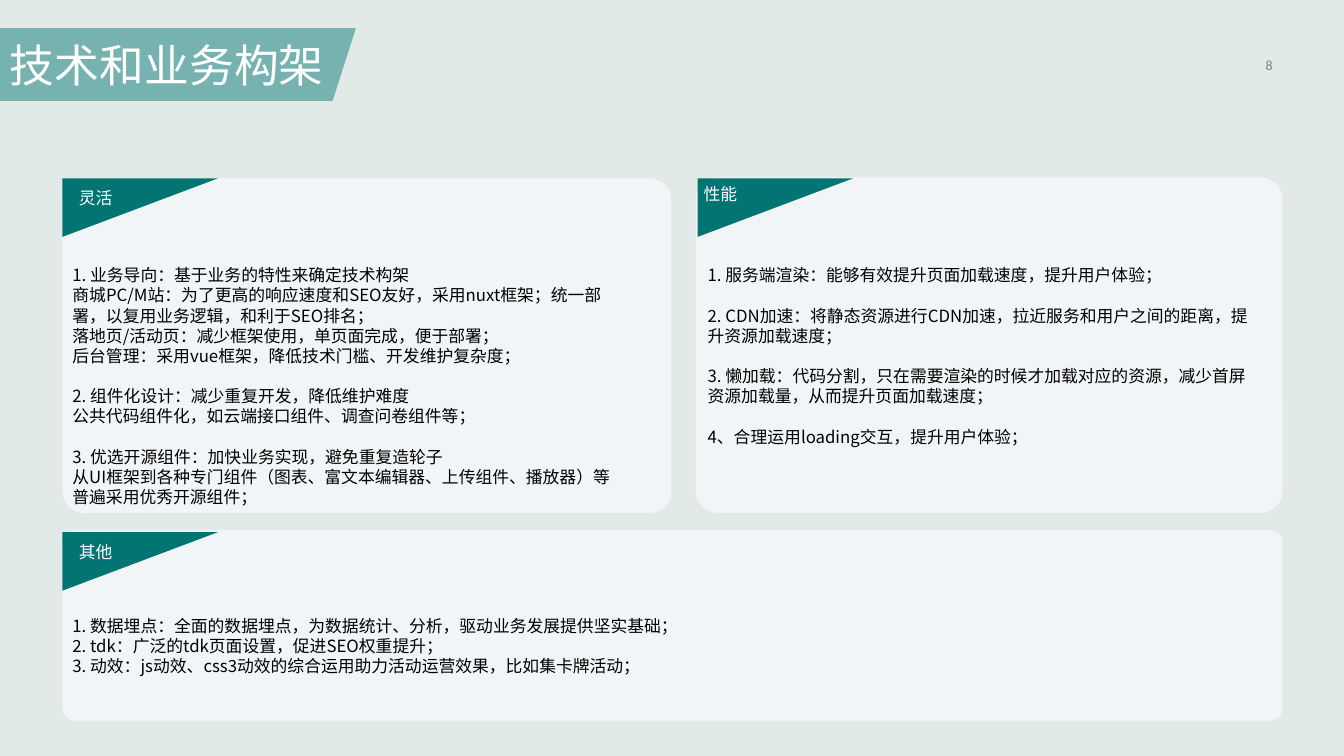
from dataclasses import dataclass

from lxml import etree
from pptx import Presentation
from pptx.dml.color import RGBColor
from pptx.enum.shapes import MSO_SHAPE as Preset
from pptx.enum.text import MSO_ANCHOR as Anchor, PP_ALIGN as Align
from pptx.oxml.ns import qn
from pptx.util import Inches, Pt

MINT = RGBColor(0xE1, 0xEA, 0xE7)
TEAL = RGBColor(0x02, 0x75, 0x72)
PANEL = RGBColor(0xF2, 0xF5, 0xF7)
GREY = RGBColor(0x80, 0x80, 0x80)
BLACK = RGBColor(0, 0, 0)
WHITE = RGBColor(0xFF, 0xFF, 0xFF)

CJK, LATIN = "Noto Sans CJK SC", "Calibri"
LINE = Pt(14.4)
BODY_FORMAT = {"name": CJK, "size": Pt(12)}
LABEL_FORMAT = {"name": LATIN, "size": Pt(12)}
PAGE_FORMAT = {"name": LATIN, "size": Pt(10)}
TITLE_FORMAT = {"name": CJK, "size": Pt(32)}


@dataclass(frozen=True)
class Box:
    left: float
    top: float
    width: float
    height: float

    def lengths(self) -> list:
        return [Inches(v) for v in (self.left, self.top, self.width, self.height)]


@dataclass(frozen=True)
class Section:
    card: Box
    corner: Box
    label: str
    label_box: Box
    label_align: Align
    body_box: Box
    groups: list  # groups of paragraphs, one empty line apart


SECTIONS = [
    Section(
        Box(0.62, 1.77, 6.04, 3.32), Box(0.62, 1.77, 1.54, 0.58),
        "灵活", Box(0.61, 1.81, 0.68, 0.3), Align.CENTER,
        Box(0.62, 2.58, 5.59, 2.52),
        [["1. 业务导向：基于业务的特性来确定技术构架",
          "商城PC/M站：为了更高的响应速度和SEO友好，采用nuxt框架；统一部署，以复用业务逻辑，和利于SEO排名；",
          "落地页/活动页：减少框架使用，单页面完成，便于部署；",
          "后台管理：采用vue框架，降低技术门槛、开发维护复杂度；"],
         ["2. 组件化设计：减少重复开发，降低维护难度",
          "公共代码组件化，如云端接口组件、调查问卷组件等；"],
         ["3. 优选开源组件：加快业务实现，避免重复造轮子",
          "从UI框架到各种专门组件（图表、富文本编辑器、上传组件、播放器）等普遍采用优秀开源组件；"]],
    ),
    Section(
        Box(6.9, 1.76, 5.82, 3.33), Box(6.92, 1.77, 1.54, 0.58),
        "性能", Box(6.88, 1.77, 1.26, 0.3), Align.LEFT,
        Box(6.92, 2.58, 5.61, 1.92),
        [["1. 服务端渲染：能够有效提升页面加载速度，提升用户体验；"],
         ["2. CDN加速：将静态资源进行CDN加速，拉近服务和用户之间的距离，提升资源加载速度；"],
         ["3. 懒加载：代码分割，只在需要渲染的时候才加载对应的资源，减少首屏资源加载量，从而提升页面加载速度；"],
         ["4、合理运用loading交互，提升用户体验；"]],
    ),
    Section(
        Box(0.62, 5.26, 12.1, 1.89), Box(0.62, 5.28, 1.54, 0.58),
        "其他", Box(0.61, 5.33, 0.68, 0.3), Align.CENTER,
        Box(0.62, 6.06, 11.61, 0.71),
        [["1. 数据埋点：全面的数据埋点，为数据统计、分析，驱动业务发展提供坚实基础；",
          "2. tdk：广泛的tdk页面设置，促进SEO权重提升；",
          "3. 动效：js动效、css3动效的综合运用助力活动运营效果，比如集卡牌活动；"]],
    ),
]


def paint(shape, color: RGBColor) -> None:
    shape.shadow.inherit = False
    shape.fill.solid()
    shape.fill.fore_color.rgb = color
    shape.line.fill.background()


def write(paragraph, text: str, formats: dict, color: RGBColor, align=Align.LEFT) -> None:
    paragraph.alignment = align
    run = paragraph.add_run()
    run.text = text
    for attribute, value in formats.items():
        setattr(run.font, attribute, value)
    run.font.color.rgb = color


def add_frame(slide, box: Box, anchor=Anchor.TOP):
    frame = slide.shapes.add_textbox(*box.lengths()).text_frame
    frame.word_wrap = True
    frame.vertical_anchor = anchor
    return frame


def draw_body(slide, section: Section) -> None:
    frame = add_frame(slide, section.body_box)
    paragraph = frame.paragraphs[0]
    for g, group in enumerate(section.groups):
        for i, text in enumerate(group):
            if g or i:
                paragraph = frame.add_paragraph()
            paragraph.line_spacing = LINE
            paragraph.space_before = LINE if g and not i else Pt(0)
            write(paragraph, text, BODY_FORMAT, BLACK)


def draw_section(slide, section: Section) -> None:
    card = slide.shapes.add_shape(Preset.ROUNDED_RECTANGLE, *section.card.lengths())
    card.adjustments[0] = 0.066
    paint(card, PANEL)
    draw_body(slide, section)
    corner = slide.shapes.add_shape(Preset.RIGHT_TRIANGLE, *section.corner.lengths())
    corner.element.spPr.find(qn("a:xfrm")).set("flipV", "1")
    paint(corner, TEAL)
    label = add_frame(slide, section.label_box).paragraphs[0]
    write(label, section.label, LABEL_FORMAT, WHITE, section.label_align)


def draw_title(slide, text: str) -> None:
    outline = slide.shapes.build_freeform(Inches(0), Inches(0.28))
    outline.add_line_segments(
        [(Inches(x), Inches(y)) for x, y in [(3.53, 0.28), (3.3, 1), (0, 1)]])
    banner = outline.convert_to_shape()
    paint(banner, TEAL)
    tint = banner.element.spPr.find(qn("a:solidFill"))[0]
    etree.SubElement(tint, qn("a:alpha")).set("val", "48000")
    banner.text_frame.vertical_anchor = Anchor.MIDDLE
    write(banner.text_frame.paragraphs[0], text, TITLE_FORMAT, WHITE)


deck = Presentation()
deck.slide_width, deck.slide_height = Inches(13.33), Inches(7.5)
slide = deck.slides.add_slide(deck.slide_layouts[6])
slide.background.fill.solid()
slide.background.fill.fore_color.rgb = MINT

# Page number
page = add_frame(slide, Box(9.72, 0.44, 3, 0.4), Anchor.MIDDLE)
write(page.paragraphs[0], "8", PAGE_FORMAT, GREY, Align.RIGHT)

# Cards with corner labels
for section in SECTIONS:
    draw_section(slide, section)

# Title banner
draw_title(slide, "技术和业务构架")

deck.save("out.pptx")
